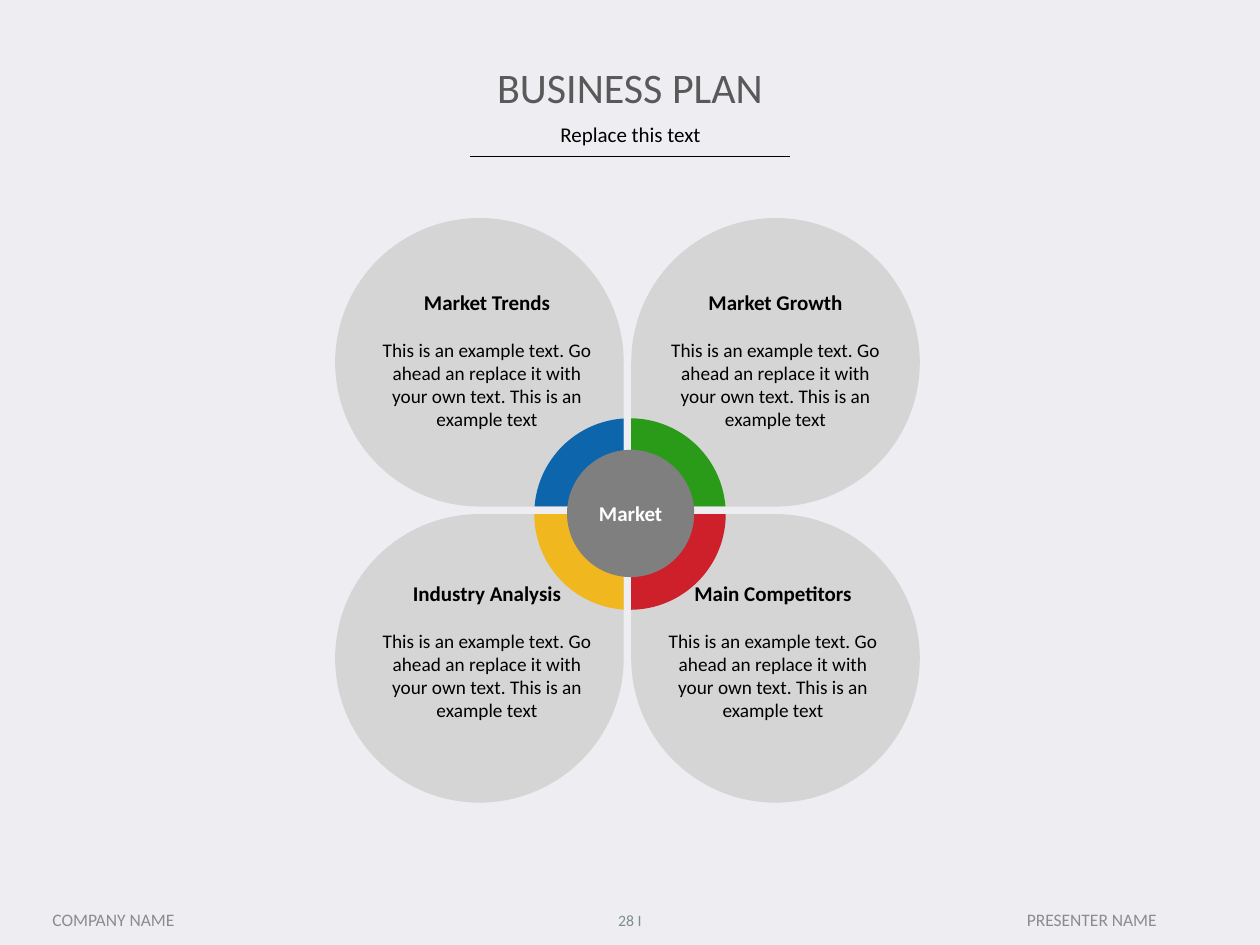
from math import acos, asin, cos, sin, tan

from lxml.etree import SubElement
from pptx import Presentation
from pptx.dml.color import RGBColor
from pptx.enum.shapes import MSO_CONNECTOR as Connector, MSO_SHAPE as Shape
from pptx.enum.text import MSO_ANCHOR as Anchor, MSO_AUTO_SIZE as AutoSize, PP_ALIGN as Align
from pptx.oxml.ns import qn
from pptx.util import Inches, Pt

FONT = "Calibri"
BLACK = "000000"
FOOTER_GRAY = "8C8C8C"
EXAMPLE = ("This is an example text. Go ahead an replace it with your own text. "
           "This is an example text")
PETAL_SIZE = 2.29
LEFT, RIGHT, TOP, BOTTOM = 2.66, 5.01, 1.73, 4.08
CENTER_X, CENTER_Y, RING_RADIUS = 5, 4.08, 0.76

# heading, side, level, rotation, ring colour, text left, text top
QUARTERS = [
    ("Market Trends", -1, -1, 90, "0D65AC", 2.87, 2.25),
    ("Market Growth", 1, -1, 180, "2A9B18", 5.16, 2.25),
    ("Industry Analysis", -1, 1, 0, "F0B71F", 2.87, 4.56),
    ("Main Competitors", 1, 1, 270, "CE202A", 5.14, 4.56),
]


def color(value):
    return RGBColor.from_string(value)


def paint(shape, fill):
    shape.shadow.inherit = False
    shape.fill.solid()
    shape.fill.fore_color.rgb = color(fill)
    shape.line.fill.background()


def add_run(paragraph, text, size, hue, bold=False):
    run = paragraph.add_run()
    run.text = text
    run.font.name = FONT
    run.font.size = Pt(size)
    run.font.bold = bold
    run.font.color.rgb = color(hue)


def fill_placeholder(shape, box, text, size, hue, anchor):
    shape.left, shape.top, shape.width, shape.height = map(Inches, box)
    frame = shape.text_frame
    frame.word_wrap = True
    frame.auto_size = AutoSize.NONE
    frame.vertical_anchor = anchor
    paragraph = frame.paragraphs[0]
    paragraph.alignment = Align.CENTER
    paragraph.space_before = Pt(0)
    add_run(paragraph, text, size, hue)
    return paragraph


def add_text(slide, box, text, size, hue, bold=False, anchor=Anchor.TOP, wrap=True):
    frame = slide.shapes.add_textbox(*map(Inches, box)).text_frame
    frame.word_wrap = wrap
    frame.vertical_anchor = anchor
    paragraph = frame.paragraphs[0]
    paragraph.alignment = Align.CENTER
    add_run(paragraph, text, size, hue, bold)
    return frame


def add_rule(slide, start, end, y):
    rule = slide.shapes.add_connector(
        Connector.STRAIGHT, Inches(start), Inches(y), Inches(end), Inches(y))
    rule.line.color.rgb = color(BLACK)
    rule.line.width = Pt(0.75)
    SubElement(rule._element.spPr, qn("a:effectLst"))


def add_petal(slide, side, level, rotation):
    left = LEFT if side < 0 else RIGHT
    top = TOP if level < 0 else BOTTOM
    petal = slide.shapes.add_shape(
        Shape.TEAR, *map(Inches, (left, top, PETAL_SIZE, PETAL_SIZE)))
    petal.rotation = rotation
    paint(petal, "D5D5D5")


def bend_last_segments(shape):
    segments = list(shape._element.iter(qn("a:lnTo")))[-3:]
    curve = segments[0]
    for segment in segments[1:]:
        curve.append(segment[0])
        segment.getparent().remove(segment)
    curve.tag = qn("a:cubicBezTo")


def add_ring_quarter(slide, side, level, fill):
    x = LEFT + PETAL_SIZE if side < 0 else RIGHT
    y = TOP + PETAL_SIZE if level < 0 else BOTTOM
    first = asin(abs(y - CENTER_Y) / RING_RADIUS)
    last = acos(abs(x - CENTER_X) / RING_RADIUS)
    handle = 4 / 3 * tan((last - first) / 4)

    def arc_point(angle, reach=0):
        across = cos(angle) - reach * sin(angle)
        down = sin(angle) + reach * cos(angle)
        return (Inches(CENTER_X + side * RING_RADIUS * across),
                Inches(CENTER_Y + level * RING_RADIUS * down))

    builder = slide.shapes.build_freeform(Inches(x), Inches(y))
    builder.add_line_segments([arc_point(first), arc_point(first, handle),
                               arc_point(last, -handle), arc_point(last)], close=True)
    quarter = builder.convert_to_shape()
    # The builder closes with a:close, so the last three lines are the arc.
    bend_last_segments(quarter)
    paint(quarter, fill)


def add_topic(slide, heading, left, top):
    frame = add_text(slide, (left, top, 1.99, 1.26), heading, 12, BLACK, bold=True)
    frame.auto_size = AutoSize.SHAPE_TO_FIT_TEXT
    paragraph = frame.add_paragraph()
    paragraph.alignment = Align.CENTER
    paragraph.space_before = Pt(13.4)
    add_run(paragraph, EXAMPLE, 11, BLACK)


def main():
    presentation = Presentation()
    presentation.slide_width = Inches(10)
    presentation.slide_height = Inches(7.5)
    slide = presentation.slides.add_slide(presentation.slide_layouts[0])
    slide.background.fill.solid()
    slide.background.fill.fore_color.rgb = color("EEEEF2")

    add_rule(slide, 3.73, 6.27, 1.24)
    subtitle = fill_placeholder(slide.placeholders[1], (0.69, 0.95, 8.63, 0.27),
                                "Replace this text", 12, BLACK, Anchor.TOP)
    subtitle.line_spacing = 0.8
    fill_placeholder(slide.shapes.title, (0.69, 0.44, 8.62, 0.5),
                     "BUSINESS PLAN", 24, "595959", Anchor.MIDDLE)

    for text, box, size, hue in [
        ("28 I", (4.75, 7.1, 0.5, 0.4), 9, "7F8C8D"),
        ("PRESENTER NAME", (7.5, 7.09, 2.33, 0.42), 10, FOOTER_GRAY),
        ("COMPANY NAME", (0.17, 7.09, 1.46, 0.42), 10, FOOTER_GRAY),
    ]:
        add_text(slide, box, text, size, hue, anchor=Anchor.MIDDLE)

    for heading, side, level, rotation, fill, left, top in QUARTERS:
        add_petal(slide, side, level, rotation)
    for heading, side, level, rotation, fill, left, top in QUARTERS:
        add_topic(slide, heading, left, top)
    for heading, side, level, rotation, fill, left, top in QUARTERS:
        add_ring_quarter(slide, side, level, fill)

    hub = slide.shapes.add_shape(Shape.OVAL, *map(Inches, (4.5, 3.57, 1.01, 1.01)))
    paint(hub, "7F7F7F")
    label = add_text(slide, (4.65, 3.92, 0.71, 0.3), "Market", 12, "FFFFFF",
                     bold=True, wrap=False)
    label.auto_size = AutoSize.SHAPE_TO_FIT_TEXT

    presentation.save("out.pptx")


if __name__ == "__main__":
    main()
